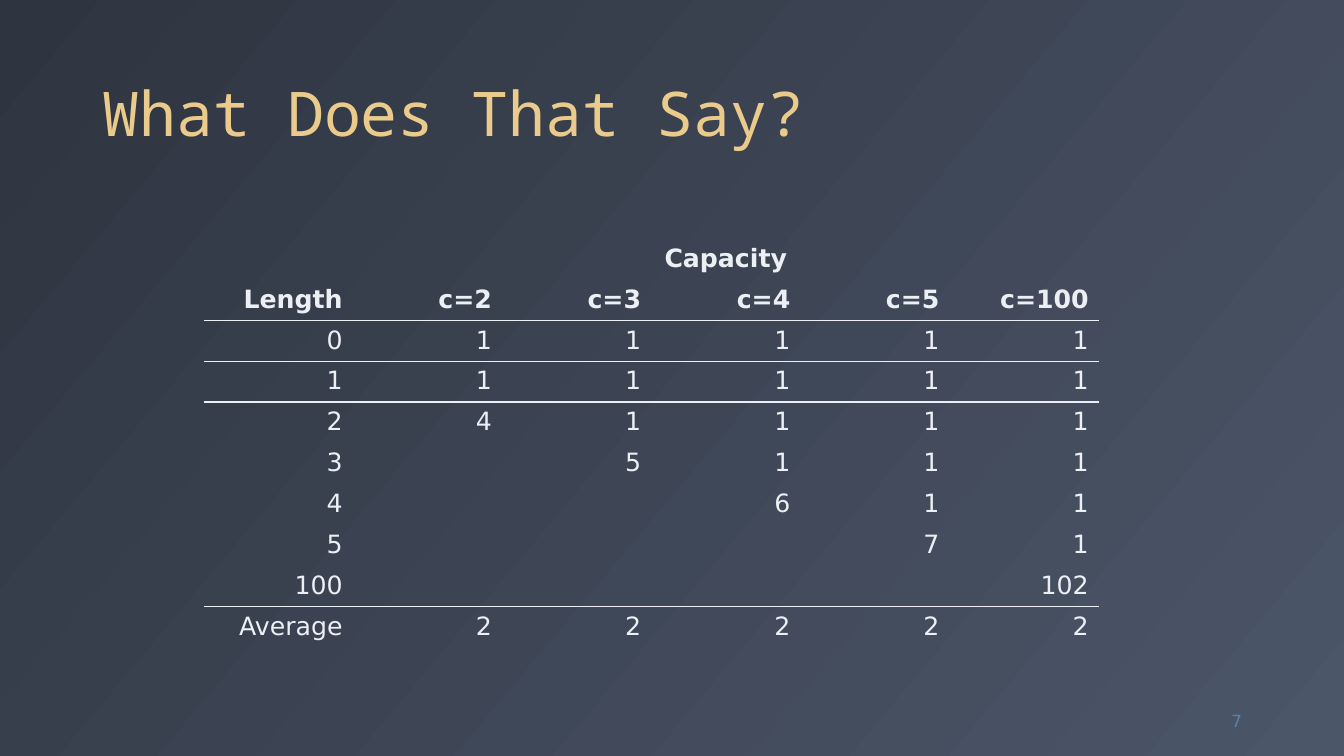
from lxml import etree
from pptx import Presentation
from pptx.dml.color import RGBColor
from pptx.enum.text import MSO_ANCHOR as Anchor, PP_ALIGN as Align
from pptx.oxml.ns import qn
from pptx.util import Cm, Pt

# Content
TITLE = "What Does That Say?"
PAGE = "7"
ROWS = [
    ["", "Capacity", "", "", "", ""],
    ["Length", "c=2", "c=3", "c=4", "c=5", "c=100"],
    ["0", "1", "1", "1", "1", "1"],
    ["1", "1", "1", "1", "1", "1"],
    ["2", "4", "1", "1", "1", "1"],
    ["3", "", "5", "1", "1", "1"],
    ["4", "", "", "6", "1", "1"],
    ["5", "", "", "", "7", "1"],
    ["100", "", "", "", "", "102"],
    ["Average", "2", "2", "2", "2", "2"],
]
HEADER_ROWS = 2
RULES = {1: 1, 2: 1.5, 8: 1}  # row above the rule: width in points

# Style
SANS, MONO = "DejaVu Sans", "Noto Sans Mono"
DARK, LIGHT = "2E3440", "4C5669"
TEXT, GOLD, BLUE = "ECEFF3", "EBCB8B", "5E81AC"
NO_STYLE = "{2D5ABB26-0587-4C30-8999-92F81FD0307C}"
COL_W, ROW_H = 3.76, 1.03


def color(target, value):
    target.rgb = RGBColor.from_string(value)


def add_run(p, text, font, size, value, bold=False):
    r = p.add_run()
    r.text = text
    r.font.name, r.font.size, r.font.bold = font, Pt(size), bold
    color(r.font.color, value)


def add_text(s, box, text, font, size, value, align, anchor):
    tf = s.shapes.add_textbox(*map(Cm, box)).text_frame
    tf.word_wrap = True
    tf.vertical_anchor = anchor
    p = tf.paragraphs[0]
    p.alignment = align
    p.line_spacing = 0.9 if size > 40 else 1.0
    add_run(p, text, font, size, value)


def add_border(cell, side, width):
    tc_pr = cell._tc.get_or_add_tcPr()
    ln = etree.SubElement(tc_pr, qn("a:" + side), w=str(Pt(width)))
    fill = etree.SubElement(ln, qn("a:solidFill"))
    etree.SubElement(fill, qn("a:srgbClr"), val=TEXT)


prs = Presentation()
prs.slide_width, prs.slide_height = Cm(33.87), Cm(19.05)
s = prs.slides.add_slide(prs.slide_layouts[6])

# Background gradient
bg = s.background.fill
bg.gradient()
bg.gradient_angle = 320
for stop, value in zip(bg.gradient_stops, (DARK, LIGHT)):
    color(stop.color, value)

# Title and page number
add_text(s, (2.33, 0.46, 29.21, 3.45), TITLE, MONO, 44, GOLD, Align.LEFT, Anchor.BOTTOM)
add_text(s, (29.44, 17.65, 2.11, 1.02), PAGE, SANS, 12, BLUE, Align.RIGHT, Anchor.MIDDLE)

# Table
n_rows, n_cols = len(ROWS), len(ROWS[0])
table = s.shapes.add_table(n_rows, n_cols, Cm(5.13), Cm(6.02),
                           Cm(COL_W * n_cols), Cm(ROW_H * n_rows)).table
table.first_row = table.horz_banding = False
table._tbl.tblPr.find(qn("a:tableStyleId")).text = NO_STYLE
for col in table.columns:
    col.width = Cm(COL_W)
for row in table.rows:
    row.height = Cm(ROW_H)
table.cell(0, 1).merge(table.cell(0, n_cols - 1))

for i, row in enumerate(ROWS):
    for j, text in enumerate(row):
        cell = table.cell(i, j)
        for side, rule in (("lnT", i - 1), ("lnB", i)):
            if rule in RULES:
                add_border(cell, side, RULES[rule])
        cell.fill.background()
        if text:
            p = cell.text_frame.paragraphs[0]
            p.alignment = Align.CENTER if i == 0 else Align.RIGHT
            add_run(p, text, SANS, 18, TEXT, bold=i < HEADER_ROWS)

prs.save("out.pptx")
